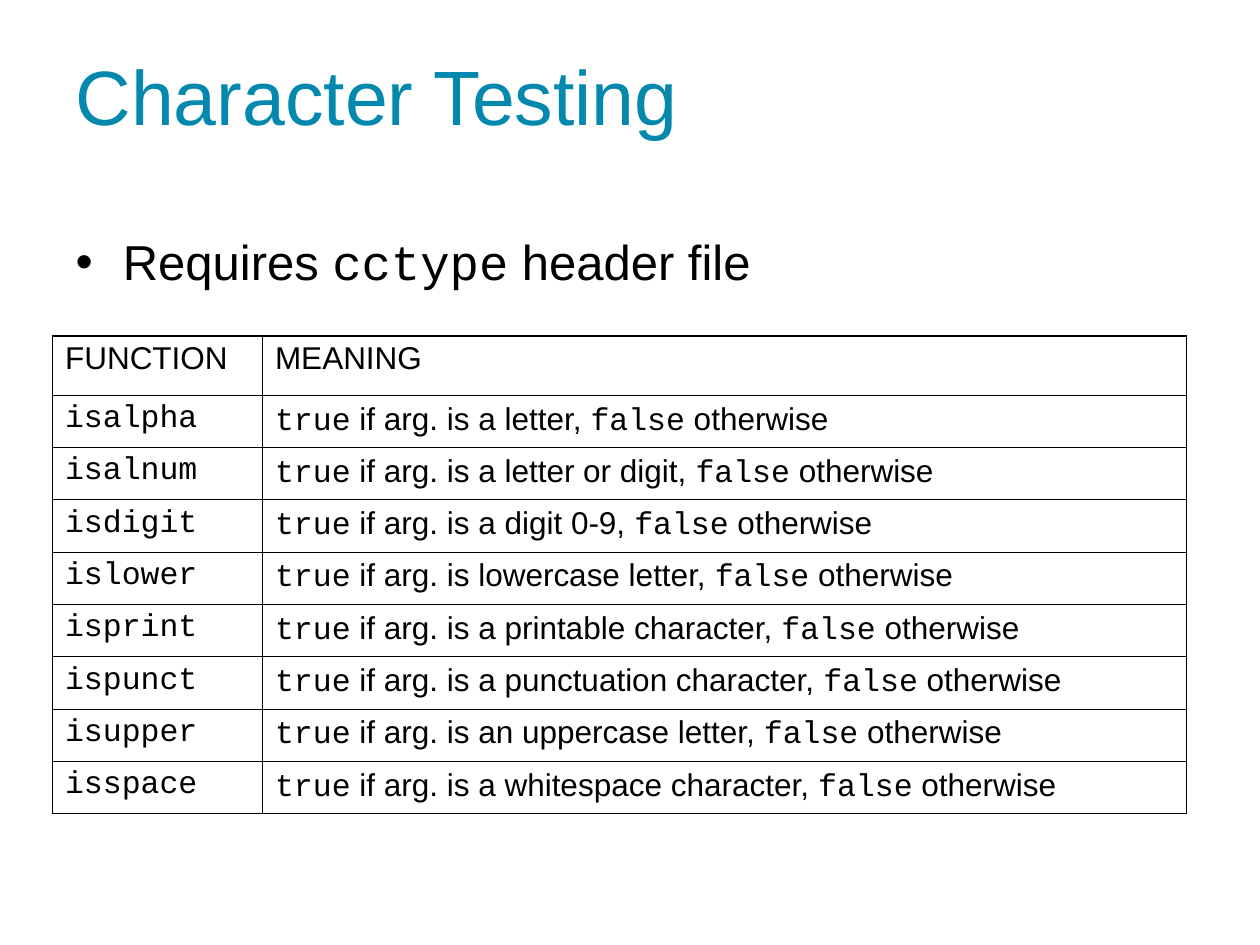
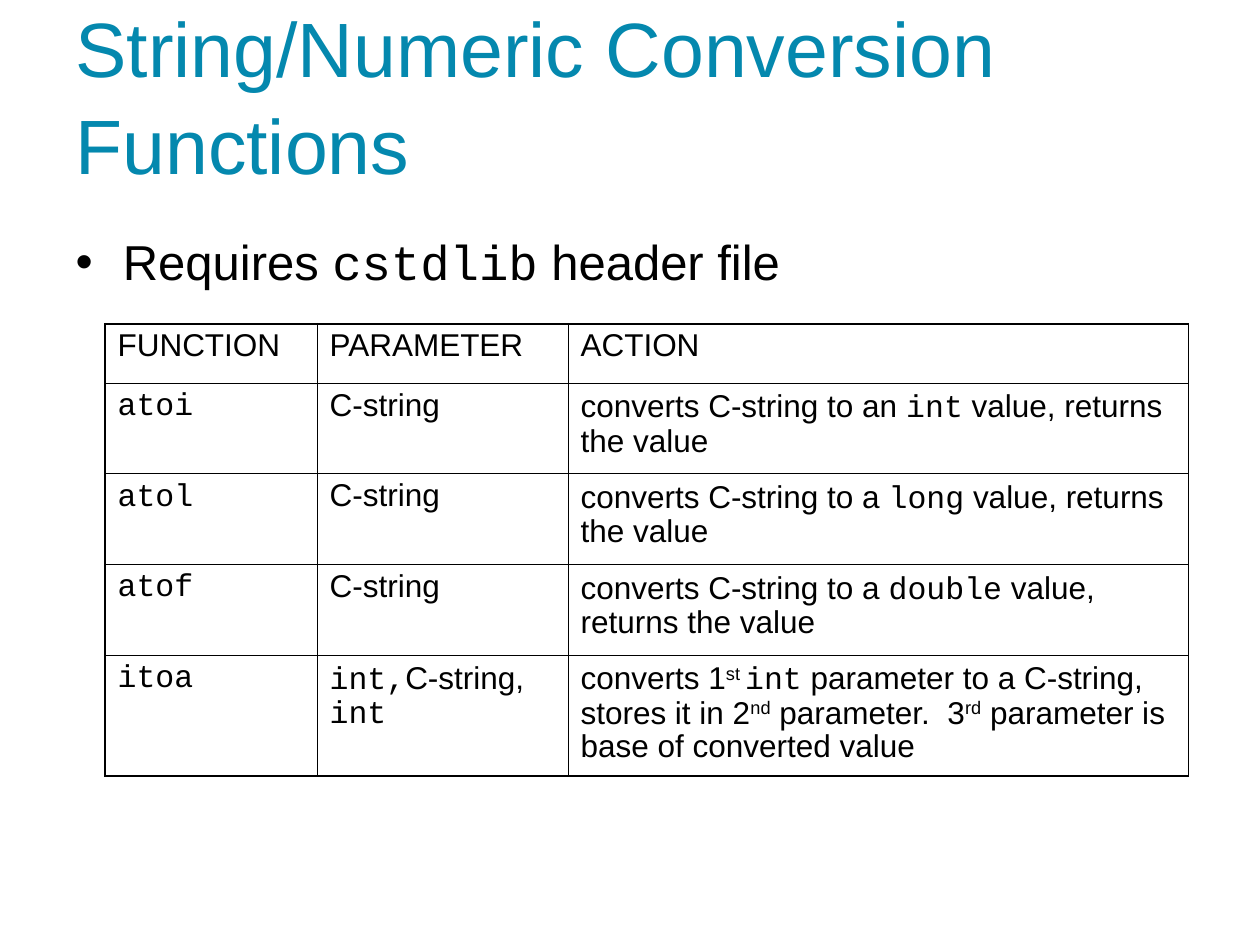
from dataclasses import dataclass

from lxml import etree
from pptx import Presentation
from pptx.dml.color import RGBColor
from pptx.enum.text import MSO_ANCHOR, MSO_AUTO_SIZE, PP_ALIGN
from pptx.oxml.ns import qn
from pptx.util import Inches, Pt

MIDDLE, TOP = MSO_ANCHOR.MIDDLE, MSO_ANCHOR.TOP
LEFT = PP_ALIGN.LEFT
NO_FIT = MSO_AUTO_SIZE.NONE

GRID_COLUMNS, GRID_ROWS = 120, 90
SLIDE_WIDTH, SLIDE_HEIGHT = Inches(10), Inches(7.5)
TEAL, BLACK = "0488AE", "000000"
TEXT_FONT, CODE_FONT = "Arial", "Courier New"
TITLE_SIZE, BODY_SIZE, CELL_SIZE = 44, 28, 18
OUTER_LINE, INNER_LINE = 1.08, 0.45


@dataclass(frozen=True)
class Area:
    """A rectangle in grid columns and rows."""
    left: float
    top: float
    width: float
    height: float


@dataclass(frozen=True)
class FunctionTable:
    left: float
    top: float
    columns: tuple
    rows: tuple
    cells: list


@dataclass(frozen=True)
class Page:
    title: str
    bullet: str
    bullet_area: Area
    table: FunctionTable


TITLE_AREA = Area(6, 1, 100, 15)
HEADER_ROW = 5.64

CHARACTER_TESTS = {
    "isalpha": "a letter",
    "isalnum": "a letter or digit",
    "isdigit": "a digit 0-9",
    "islower": "lowercase letter",
    "isprint": "a printable character",
    "ispunct": "a punctuation character",
    "isupper": "an uppercase letter",
    "isspace": "a whitespace character",
}
CONVERSIONS = {"atoi": "an `int`", "atol": "a `long`", "atof": "a `double`"}

# In these texts `...` marks code and ^...^ marks superscript.
PAGES = [
    Page(
        "Character Testing",
        "Requires `cctype` header file",
        Area(6, 21, 103.7, 7),
        FunctionTable(
            5, 32, (20, 88), (HEADER_ROW,) + (4.98,) * len(CHARACTER_TESTS),
            [("FUNCTION", "MEANING")]
            + [(f"`{name}`", f"`true` if arg. is {kind}, `false` otherwise")
               for name, kind in CHARACTER_TESTS.items()],
        ),
    ),
    Page(
        "String/Numeric Conversion Functions",
        "Requires `cstdlib` header file",
        Area(6, 21, 104.7, 9),
        FunctionTable(
            10, 30.84, (20.2, 23.9, 59.1),
            (HEADER_ROW,) + (8.64,) * len(CONVERSIONS) + (11.5,),
            [("FUNCTION", "PARAMETER", "ACTION")]
            + [(f"`{name}`", "C-string",
                f"converts C-string to {kind} value, returns the value")
               for name, kind in CONVERSIONS.items()]
            + [("`itoa`", "`int,`C-string, `int`",
                "converts 1^st ^`int` parameter to a C-string, stores it in "
                "2^nd^ parameter.  3^rd^ parameter is base of converted value")],
        ),
    ),
]


def across(columns: float) -> int:
    return round(SLIDE_WIDTH * columns / GRID_COLUMNS)


def down(rows: float) -> int:
    return round(SLIDE_HEIGHT * rows / GRID_ROWS)


def colour(code: str) -> RGBColor:
    return RGBColor.from_string(code)


def set_all(target, values: dict) -> None:
    for name, value in values.items():
        setattr(target, name, value)


def add_span(para, text: str, size: float, ink: str, font: str, raised: bool) -> None:
    span = para.add_run()
    span.text = text
    set_all(span.font, {"name": font, "size": Pt(size), "bold": False})
    span.font.color.rgb = colour(ink)
    if raised:
        span._r.get_or_add_rPr().set("baseline", "30000")


def write(para, marked: str, size: float, ink: str) -> None:
    """Add the marked text to the paragraph as formatted spans."""
    for index, part in enumerate(marked.split("`")):
        if index % 2:
            add_span(para, part, size, ink, CODE_FONT, False)
            continue
        for level, piece in enumerate(part.split("^")):
            if piece:
                add_span(para, piece, size, ink, TEXT_FONT, level % 2 == 1)


def fill_placeholder(box, area: Area, marked: str, size: float, ink: str,
                     frame_format: dict) -> None:
    set_all(box, {"left": across(area.left), "top": down(area.top),
                  "width": across(area.width), "height": down(area.height)})
    set_all(box.text_frame, {"auto_size": NO_FIT, "word_wrap": True, **frame_format})
    para = box.text_frame.paragraphs[0]
    set_all(para, {"alignment": LEFT, "space_before": Pt(0)})
    write(para, marked, size, ink)


def set_border(cell, side: str, width: float) -> None:
    line = etree.SubElement(cell._tc.get_or_add_tcPr(), qn(f"a:ln{side}"),
                            w=str(Pt(width)))
    fill = etree.SubElement(line, qn("a:solidFill"))
    etree.SubElement(fill, qn("a:srgbClr"), val=BLACK)


def add_function_table(slide, spec: FunctionTable) -> None:
    row_count, column_count = len(spec.rows), len(spec.columns)
    table = slide.shapes.add_table(
        row_count, column_count, across(spec.left), down(spec.top),
        across(sum(spec.columns)), down(sum(spec.rows))).table
    set_all(table, {"first_row": False, "horz_banding": False})
    for column, width in zip(table.columns, spec.columns):
        column.width = across(width)
    for row, height in zip(table.rows, spec.rows):
        row.height = down(height)

    for r, texts in enumerate(spec.cells):
        for c, text in enumerate(texts):
            cell = table.cell(r, c)
            outer_sides = {"L": c == 0, "R": c == column_count - 1,
                           "T": r == 0, "B": r == row_count - 1}
            for side, is_outer in outer_sides.items():
                set_border(cell, side, OUTER_LINE if is_outer else INNER_LINE)
            cell.fill.background()
            para = cell.text_frame.paragraphs[0]
            para.line_spacing = 0.95
            write(para, text, CELL_SIZE, BLACK)


def add_page(deck, page: Page) -> None:
    slide = deck.slides.add_slide(deck.slide_layouts.get_by_name("Title and Content"))
    title, body = slide.placeholders
    fill_placeholder(title, TITLE_AREA, page.title, TITLE_SIZE, TEAL,
                     {"vertical_anchor": MIDDLE, "margin_top": Inches(0.1)})
    title.text_frame.paragraphs[0].line_spacing = 1.05
    fill_placeholder(body, page.bullet_area, page.bullet, BODY_SIZE, BLACK,
                     {"vertical_anchor": TOP, "margin_top": Inches(0.09)})
    add_function_table(slide, page.table)


def main() -> None:
    deck = Presentation()
    set_all(deck, {"slide_width": SLIDE_WIDTH, "slide_height": SLIDE_HEIGHT})
    for page in PAGES:
        add_page(deck, page)
    deck.save("out.pptx")


if __name__ == "__main__":
    main()
